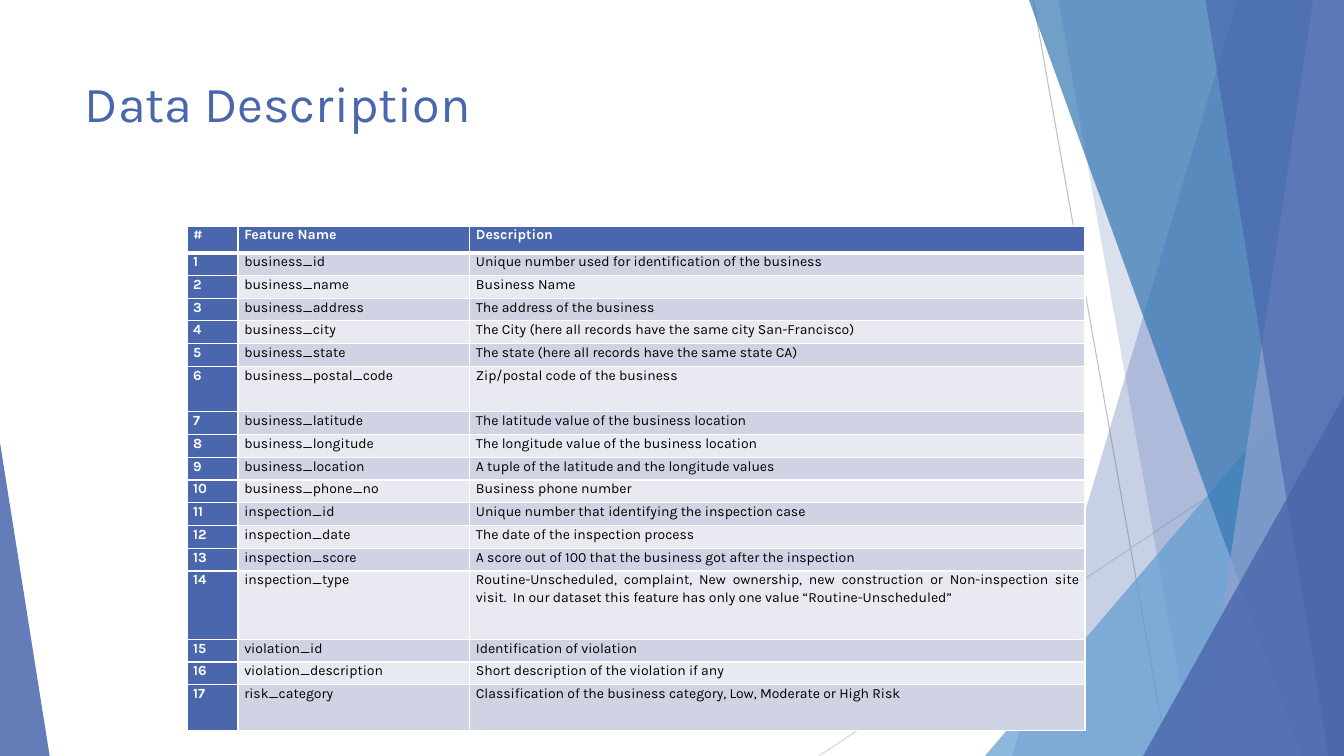
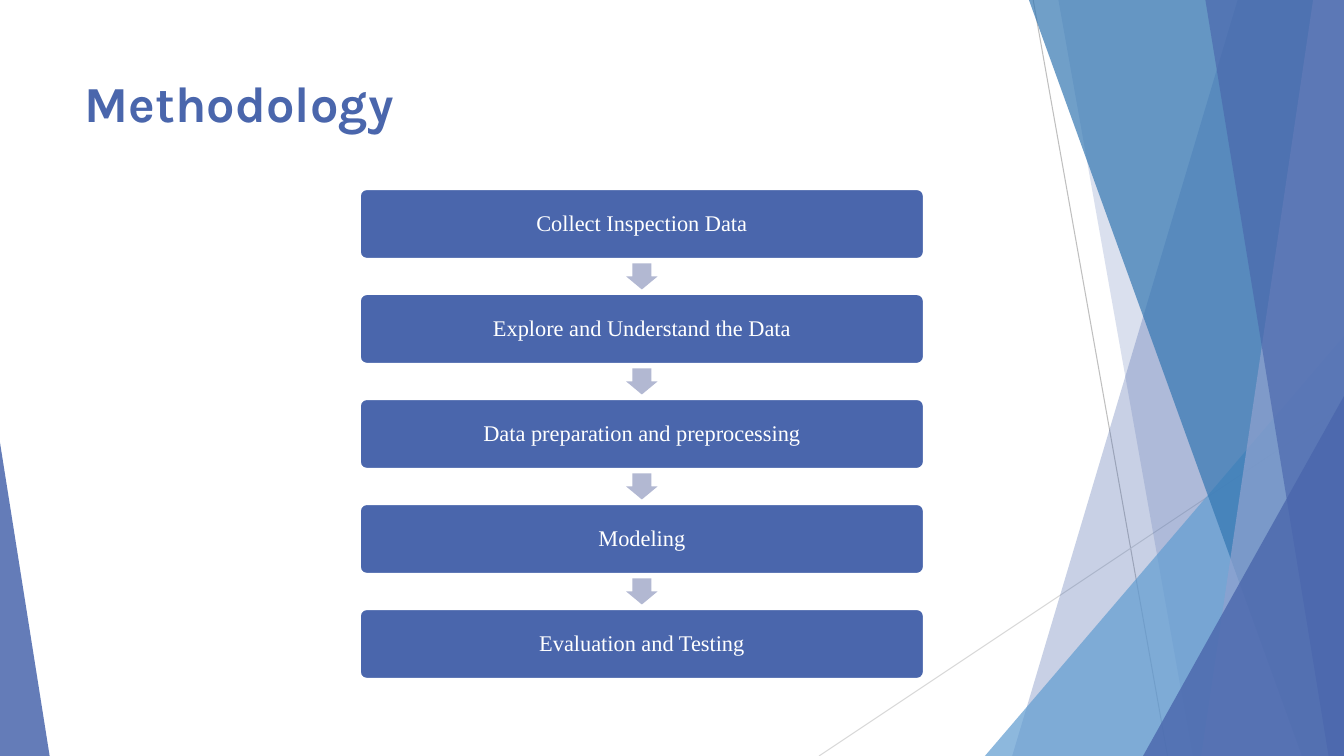
from lxml.etree import SubElement
from pptx import Presentation
from pptx.dml.color import RGBColor
from pptx.enum.shapes import MSO_CONNECTOR, MSO_SHAPE
from pptx.enum.text import MSO_ANCHOR, PP_ALIGN
from pptx.oxml import parse_xml
from pptx.oxml.ns import nsdecls, qn
from pptx.util import Pt

# Style
BLUE = RGBColor(0x4A, 0x66, 0xAC)
SKY = RGBColor(0x62, 0x9D, 0xD1)
TEAL = RGBColor(0x34, 0x77, 0xB2)
PALE = RGBColor(0x90, 0xA2, 0xCF)
MIST = RGBColor(0xB2, 0xB8, 0xD2)
ODD = RGBColor(0xD0, 0xD3, 0xE3)
EVEN = RGBColor(0xE9, 0xEA, 0xF1)
GREY = RGBColor(0xBF, 0xBF, 0xBF)
SILVER = RGBColor(0xD9, 0xD9, 0xD9)
WHITE = RGBColor(0xFF, 0xFF, 0xFF)
BLACK = RGBColor(0, 0, 0)
WIDE, HIGH = 960, 540

TITLE = {"name": "Karla", "size": Pt(36)}
CELL = {"name": "Karla", "size": Pt(10)}
STEP = {"name": "Times New Roman", "size": Pt(16), "bold": False}
INSET = {"margin_left": Pt(4.5), "margin_right": Pt(4.5),
         "margin_top": 0, "margin_bottom": 0}

# Backdrop: lines as (ends, colour), bands as (top x, foot x, colour, alpha),
# wedges as (left, top, width, tip, colour, alpha)
LINES = [((738, 0, 834, HIGH), GREY), ((WIDE, 290, 585, HIGH), SILVER)]
BACK = [(884, 723, BLUE, 30), (756, 852, BLUE, 20)]
FRONT = [(735, 930, TEAL, 70), (938, 858, PALE, 70), (861, 949, BLUE, 65)]
LOW = (703.5, 240, 256.5, 1, SKY, 72)
ENDS = [(816.5, 283, 143.5, 1, BLUE, 80), (0, 316, 35.5, 0, BLUE, 85)]

# Content: feature, description, height in units
HEADS = ("#", "Feature Name", "Description")
DATA = [
    ("business_id", "Unique number used for identification of the business", 1),
    ("business_name", "Business Name", 1),
    ("business_address", "The address of the business", 1),
    ("business_city",
     "The City (here all records have the same city San-Francisco)", 1),
    ("business_state", "The state (here all records have the same state CA)", 1),
    ("business_postal_code", "Zip/postal code of the business", 2),
    ("business_latitude", "The latitude value of the business location", 1),
    ("business_longitude", "The longitude value of the business location", 1),
    ("business_location", "A tuple of the latitude and the longitude values", 1),
    ("business_phone_no", "Business phone number", 1),
    ("inspection_id", "Unique number that identifying the inspection case", 1),
    ("inspection_date", "The date of the inspection process", 1),
    ("inspection_score",
     "A score out of 100 that the business got after the inspection", 1),
    ("inspection_type",
     "Routine-Unscheduled, complaint, New ownership, new construction or "
     "Non-inspection site visit.  In our dataset this feature has only one "
     "value “Routine-Unscheduled”", 3),
    ("violation_id", "Identification of violation", 1),
    ("violation_description", "Short description of the violation if any", 1),
    ("risk_category",
     "Classification of the business category, Low, Moderate or High Risk", 2),
]
STEPS = ["Collect Inspection Data", "Explore and Understand the Data",
         "Data preparation and preprocessing", "Modeling",
         "Evaluation and Testing"]


def apply(item, style):
    for key, value in style.items():
        setattr(item, key, value)


class Deck:
    def __init__(self):
        self.file = Presentation()
        self.file.slide_width, self.file.slide_height = Pt(WIDE), Pt(HIGH)
        self.shapes = None

    def page(self, title, bold=False):
        slide = self.file.slides.add_slide(self.file.slide_layouts[6])
        self.shapes = slide.shapes
        self.backdrop()
        box = self.shapes.add_textbox(Pt(53.5), Pt(48), Pt(677), Pt(104))
        box.text_frame.word_wrap = True
        self.label(box.text_frame, title, TITLE, BLUE, bold=bold)

    def backdrop(self):
        for ends, color in LINES:
            self.line(ends, color)
        for band in BACK:
            self.band(*band)
        self.wedge(*LOW)
        for band in FRONT:
            self.band(*band)
        for wedge in ENDS:
            self.wedge(*wedge)

    def label(self, frame, text, style, color, align=PP_ALIGN.LEFT,
              gap=1.0, **more):
        para = frame.paragraphs[0]
        apply(para, {"alignment": align, "line_spacing": gap})
        run = para.add_run()
        run.text = text
        apply(run.font, {**style, **more})
        run.font.color.rgb = color

    def paint(self, shape, color, alpha=100):
        shape.shadow.inherit = False
        shape.fill.solid()
        shape.fill.fore_color.rgb = color
        shape.line.fill.background()
        if alpha < 100:
            fill = shape._element.spPr.find(qn("a:solidFill"))
            SubElement(fill[0], qn("a:alpha")).set("val", str(alpha * 1000))

    def line(self, ends, color):
        line = self.shapes.add_connector(
            MSO_CONNECTOR.STRAIGHT, *(Pt(end) for end in ends))
        line.line.color.rgb = color
        line.line.width = Pt(0.75)
        SubElement(line._element.spPr, qn("a:effectLst"))

    def band(self, top, foot, color, alpha):
        pen = self.shapes.build_freeform(Pt(top), 0)
        pen.add_line_segments([(Pt(WIDE), 0), (Pt(WIDE), Pt(HIGH)),
                               (Pt(foot), Pt(HIGH))])
        self.paint(pen.convert_to_shape(), color, alpha)

    def shape(self, kind, left, top, width, height, color, alpha=100, adj=()):
        shape = self.shapes.add_shape(
            kind, Pt(left), Pt(top), Pt(width), Pt(height))
        for i, value in enumerate(adj):
            shape.adjustments[i] = value
        self.paint(shape, color, alpha)
        return shape

    def wedge(self, left, top, width, tip, color, alpha):
        self.shape(MSO_SHAPE.ISOSCELES_TRIANGLE, left, top, width,
                   HIGH - top, color, alpha, [tip])

    def cell(self, cell, text, fill, color, bold, rules):
        apply(cell, INSET)
        self.label(cell.text_frame, text, CELL, color,
                   PP_ALIGN.JUSTIFY, 1.07, bold=bold)
        cell.fill.solid()
        cell.fill.fore_color.rgb = fill
        props = cell._tc.get_or_add_tcPr()
        for i, (side, width) in enumerate(zip("LRTB", rules)):
            props.insert(i, parse_xml(
                f'<a:ln{side} {nsdecls("a")} w="{Pt(width)}"><a:solidFill>'
                f'<a:srgbClr val="{WHITE}"/></a:solidFill></a:ln{side}>'))

    def table(self, left, top, widths, head, unit):
        sizes = [head] + [unit * row[2] for row in DATA]
        grid = self.shapes.add_table(
            len(sizes), len(widths), Pt(left), Pt(top),
            Pt(sum(widths)), Pt(sum(sizes))).table
        for col, width in zip(grid.columns, widths):
            col.width = Pt(width)
        for row, size in zip(grid.rows, sizes):
            row.height = Pt(size)
        rows = [HEADS] + [(str(i), *row[:2]) for i, row in enumerate(DATA, 1)]
        for r, row in enumerate(rows):
            rules = (1, 1, 3 if r == 1 else 1, 3 if r == 0 else 1)
            for c, text in enumerate(row):
                key = r == 0 or c == 0
                fill = BLUE if key else ODD if r % 2 else EVEN
                self.cell(grid.cell(r, c), text, fill,
                          WHITE if key else BLACK, key, rules)

    def step(self, left, top, width, height, text):
        box = self.shape(MSO_SHAPE.ROUNDED_RECTANGLE, left, top, width,
                         height, BLUE, adj=[0.1])
        box.line.color.rgb = WHITE
        box.line.width = Pt(1.5)
        apply(box.text_frame, {"word_wrap": True,
                               "vertical_anchor": MSO_ANCHOR.MIDDLE})
        self.label(box.text_frame, text, STEP, WHITE, PP_ALIGN.CENTER, 0.9)

    def flow(self, left, top, width, height, pitch):
        wide, high = 22.4, 18.6
        for i, text in enumerate(STEPS):
            y = top + i * pitch
            if i:
                self.shape(MSO_SHAPE.DOWN_ARROW, left + (width - wide) / 2,
                           y - (pitch - height + high) / 2, wide, high,
                           MIST, adj=[0.6, 0.5])
            self.step(left, y, width, height, text)


def main():
    deck = Deck()
    # Feature table
    deck.page("Data Description")
    deck.table(133.5, 161.5, (36.5, 165.5, 439.5), 19, 16.25)
    # Process steps
    deck.page("Methodology", bold=True)
    deck.flow(257, 135, 403, 50, 75)
    deck.file.save("out.pptx")


if __name__ == "__main__":
    main()
